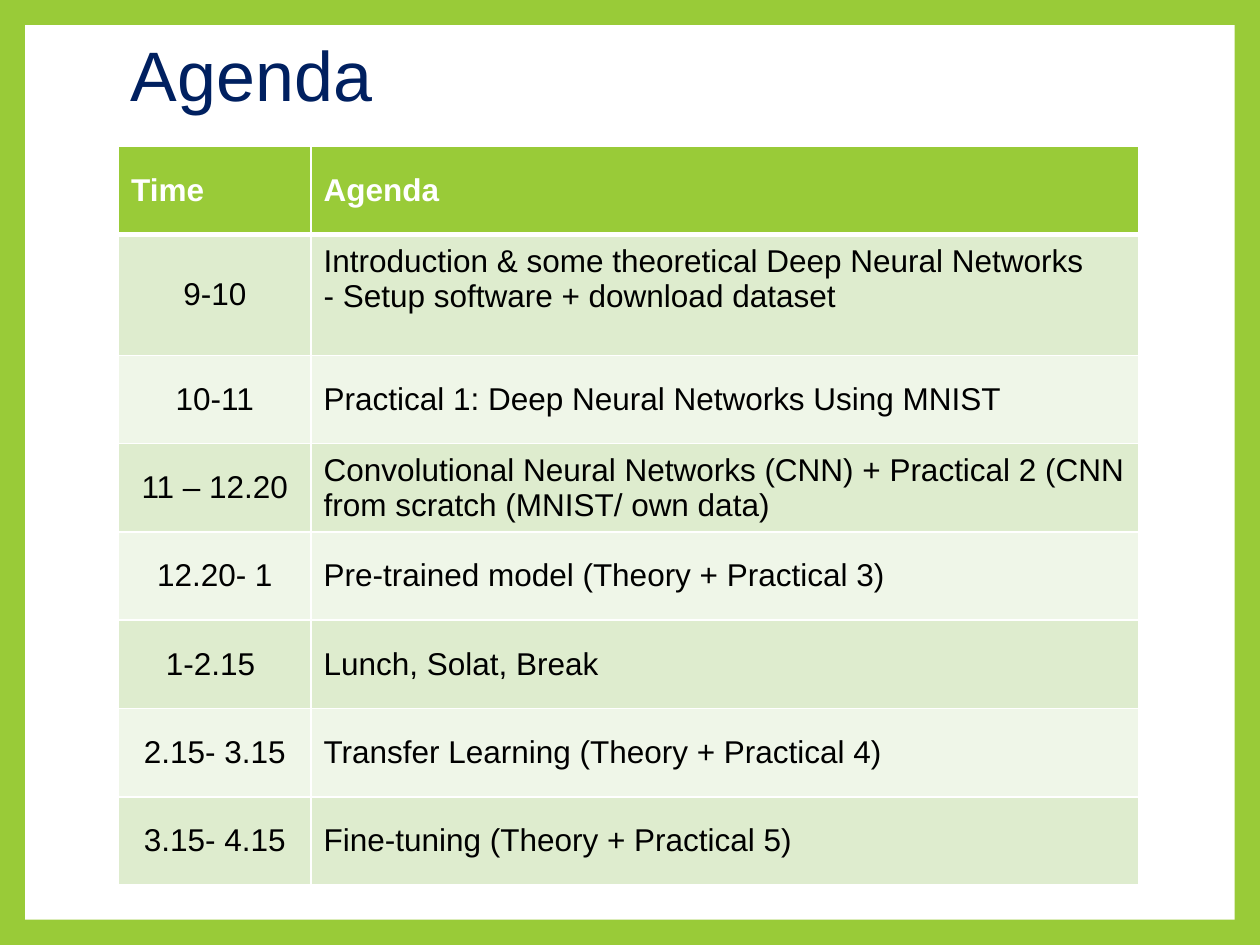
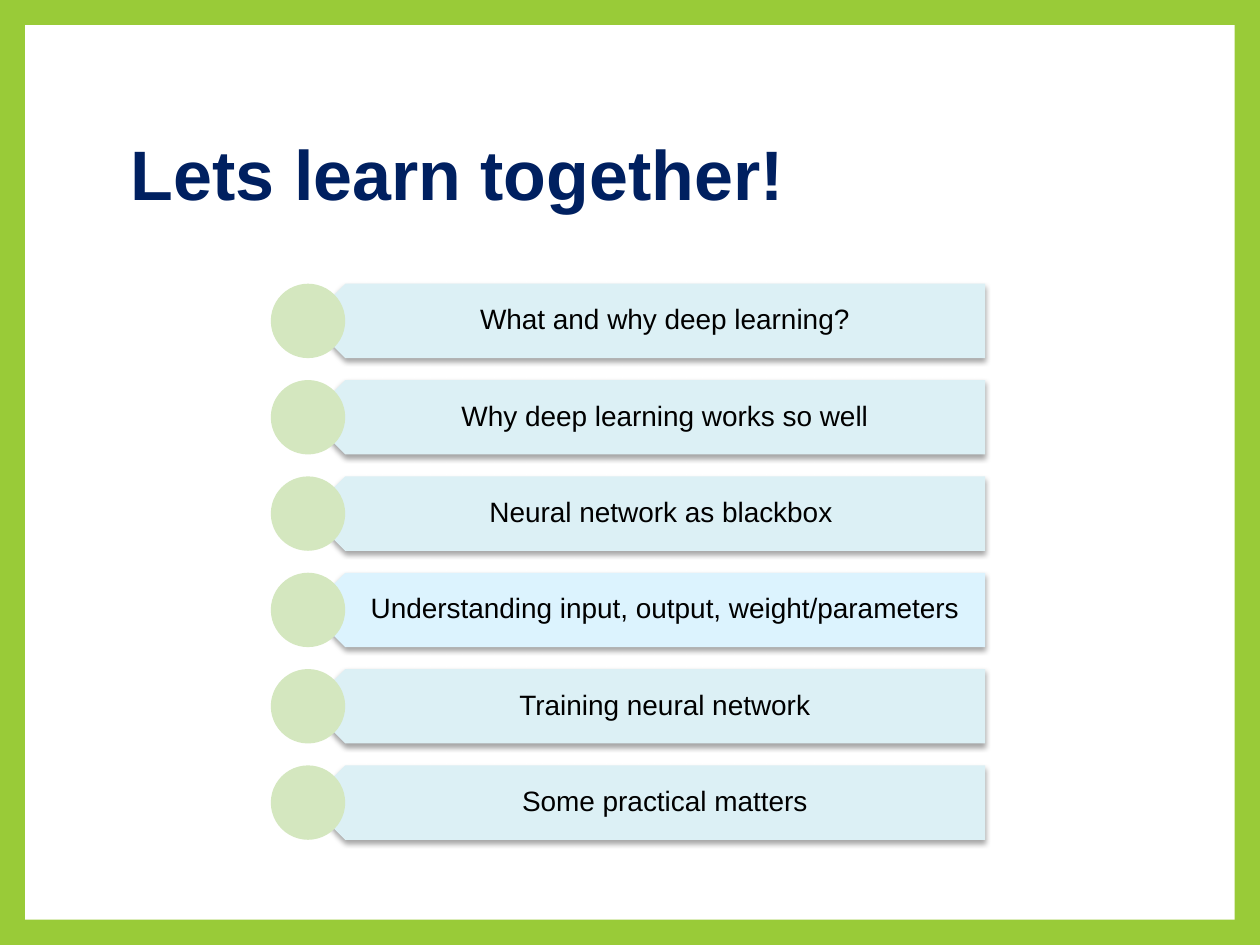
from lxml import etree
from pptx import Presentation
from pptx.dml.color import RGBColor as Rgb
from pptx.enum.shapes import MSO_SHAPE as Form
from pptx.enum.text import MSO_ANCHOR as Anchor, PP_ALIGN as Align
from pptx.oxml import parse_xml
from pptx.oxml.ns import nsdecls, qn
from pptx.util import Cm, Pt

INK = {
    "lime": "99CB38", "white": "FFFFFF", "navy": "002060", "black": "000000",
    "odd": "DEECCE", "even": "EFF6E8",
    "bar": "DCF0F5", "sky": "DCF3FE", "disc": "D4E7BF",
}
FONT = "Arial"
LEFT, WIDE = 2.39, 20.57  # shared by titles and table

AGENDA = [
    ("Time", "Agenda"),
    ("9-10", "Introduction & some theoretical Deep Neural Networks\n"
             "- Setup software + download dataset"),
    ("10-11", "Practical 1: Deep Neural Networks Using MNIST"),
    ("11 – 12.20", "Convolutional Neural Networks (CNN) + Practical 2 "
                   "(CNN from scratch (MNIST/ own data)"),
    ("12.20- 1", "Pre-trained model (Theory + Practical 3)"),
    ("1-2.15 ", "Lunch, Solat, Break"),
    ("2.15- 3.15", "Transfer Learning (Theory + Practical 4)"),
    ("3.15- 4.15", "Fine-tuning (Theory + Practical 5)"),
]
TOPICS = [
    ("What and why deep learning?", "bar"),
    ("Why deep learning works so well", "bar"),
    ("Neural network as blackbox ", "bar"),
    ("Understanding input, output, weight/parameters", "sky"),
    ("Training neural network", "bar"),
    ("Some practical matters", "bar"),
]


def color(name):
    return Rgb.from_string(INK[name])


def style(frame, size, ink, bold=False, align=Align.LEFT, space=1.0):
    for para in frame.paragraphs:
        para.alignment = align
        para.line_spacing = space
        for run in para.runs:
            font = run.font
            font.name, font.size, font.bold = FONT, Pt(size), bold
            font.color.rgb = color(ink)


def draw(shapes, form, box, ink):
    shape = shapes.add_shape(form, *map(Cm, box))
    shape.shadow.inherit = False
    shape.fill.solid()
    shape.fill.fore_color.rgb = color(ink)
    shape.line.fill.background()
    return shape


def write(shapes, box, text, pads, **look):
    frame = shapes.add_textbox(*map(Cm, box)).text_frame
    frame.word_wrap = True
    frame.vertical_anchor = Anchor.MIDDLE
    (frame.margin_left, frame.margin_top,
     frame.margin_right, frame.margin_bottom) = map(Cm, pads)
    frame.text = text
    style(frame, space=0.9, **look)


# Lime frame, white panel and title
def start(deck, title, top, high, bold=False):
    slide = deck.slides.add_slide(deck.slide_layouts[6])
    back = slide.background.fill
    back.solid()
    back.fore_color.rgb = color("lime")
    draw(slide.shapes, Form.RECTANGLE, (0.51, 0.51, 24.38, 18.03), "white")
    write(slide.shapes, (LEFT, top, WIDE, high), title,
          (0.25, 0.13, 0.25, 0.13), size=40, ink="navy", bold=bold)
    return slide


# Table borders, in points for each side
def edge(cell, sides):
    props = cell._tc.get_or_add_tcPr()
    for spot, (side, width) in enumerate(sides.items()):
        props.insert(spot, parse_xml(
            f'<a:ln{side} {nsdecls("a")} w="{Pt(width)}"><a:solidFill>'
            f'<a:srgbClr val="{INK["white"]}"/></a:solidFill></a:ln{side}>'))


def plan(slide, box):
    left, top, wide, high = box
    tall = 2.36
    step = (high - tall) / (len(AGENDA) - 1)
    table = slide.shapes.add_table(len(AGENDA), 2, *map(Cm, box)).table
    first = 3.88
    table.columns[0].width = Cm(first)
    table.columns[1].width = Cm(wide - first)
    for r, texts in enumerate(AGENDA):
        head = r == 0
        table.rows[r].height = Cm(tall if r == 1 else step)
        for c, text in enumerate(texts):
            cell = table.cell(r, c)
            cell.text_frame.text = text
            cell.vertical_anchor = Anchor.MIDDLE
            style(cell.text_frame, 18, "white" if head else "black", head,
                  Align.LEFT if head or c else Align.CENTER)
            cell.fill.solid()
            cell.fill.fore_color.rgb = color(
                "lime" if head else "odd" if r % 2 else "even")
            edge(cell, {"L": 1, "R": 1, "T": 3 if r == 1 else 1,
                        "B": 3 if head else 1})
    # The opening session sits high in its taller row
    table.cell(1, 1).margin_bottom = Cm(0.78)


# Soft shadow straight below a bar
def shade(shape):
    glow = shape._element.spPr.find(qn("a:effectLst"))
    drop = etree.SubElement(glow, qn("a:outerShdw"), blurRad=str(Pt(3.1)),
                            dist=str(Pt(1.8)), dir="5400000", rotWithShape="0")
    tint = etree.SubElement(drop, qn("a:srgbClr"), val=INK["black"])
    etree.SubElement(tint, qn("a:alpha"), val="35000")


# Stack of arrow bars, each with a disc over its tip
def stack(slide, box):
    left, top, wide, high = box
    size = 1.5
    step = (high - size) / (len(TOPICS) - 1)
    shapes = slide.shapes.add_group_shape().shapes
    for i, (text, ink) in enumerate(TOPICS):
        y = top + i * step
        tip, inset = size / 2, size * 0.75
        bar = draw(shapes, Form.PENTAGON,
                   (left + tip, y, wide - tip, size), ink)
        bar.rotation = 180
        shade(bar)
        write(shapes, (left + inset, y, wide - inset, size), text,
              (0.66, 0.18, 0.3, 0.18), size=16, ink="black",
              align=Align.CENTER)
        draw(shapes, Form.OVAL, (left, y, size, size), "disc")


def main():
    deck = Presentation()
    deck.slide_width, deck.slide_height = Cm(25.4), Cm(19.05)
    plan(start(deck, "Agenda", 0.58, 2.03), (LEFT, 2.95, WIDE, 14.82))
    stack(start(deck, "Lets learn together!", 1.7, 3.76, bold=True),
          (5.46, 5.72, 14.4, 11.21))
    deck.save("out.pptx")


if __name__ == "__main__":
    main()
